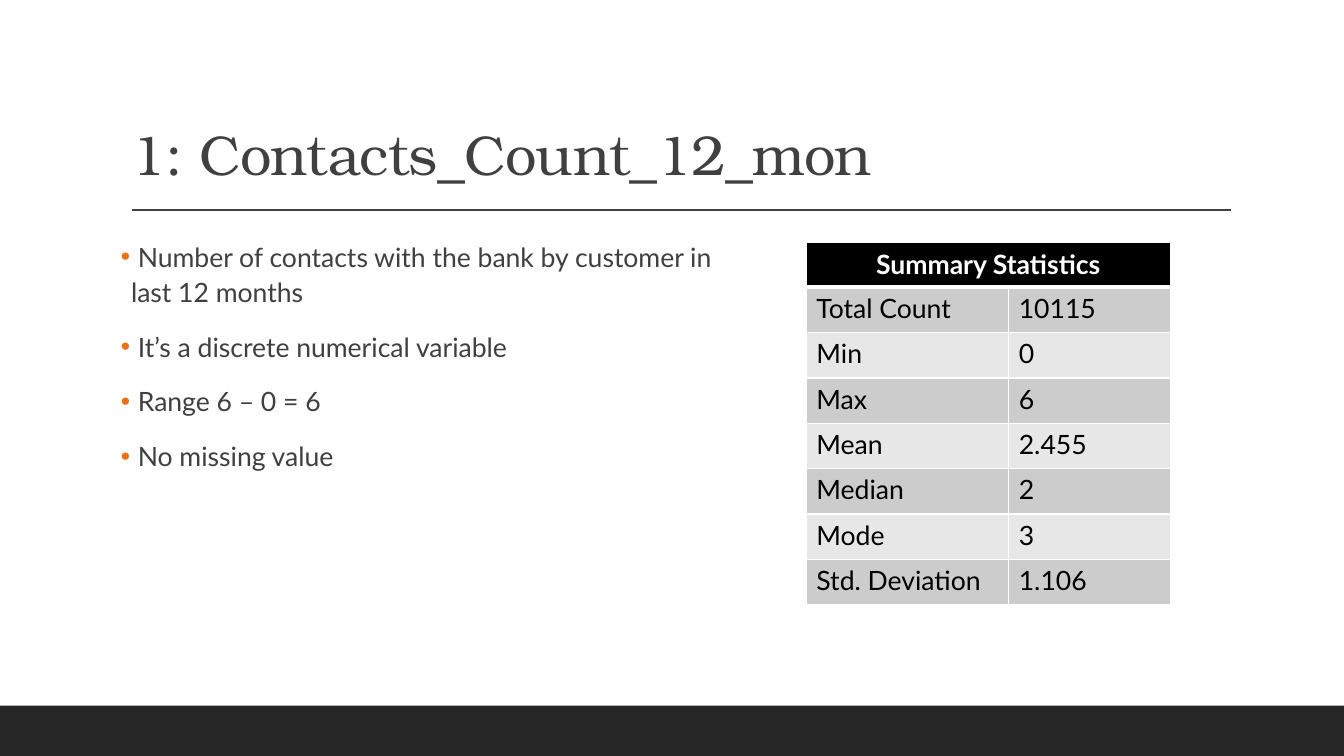
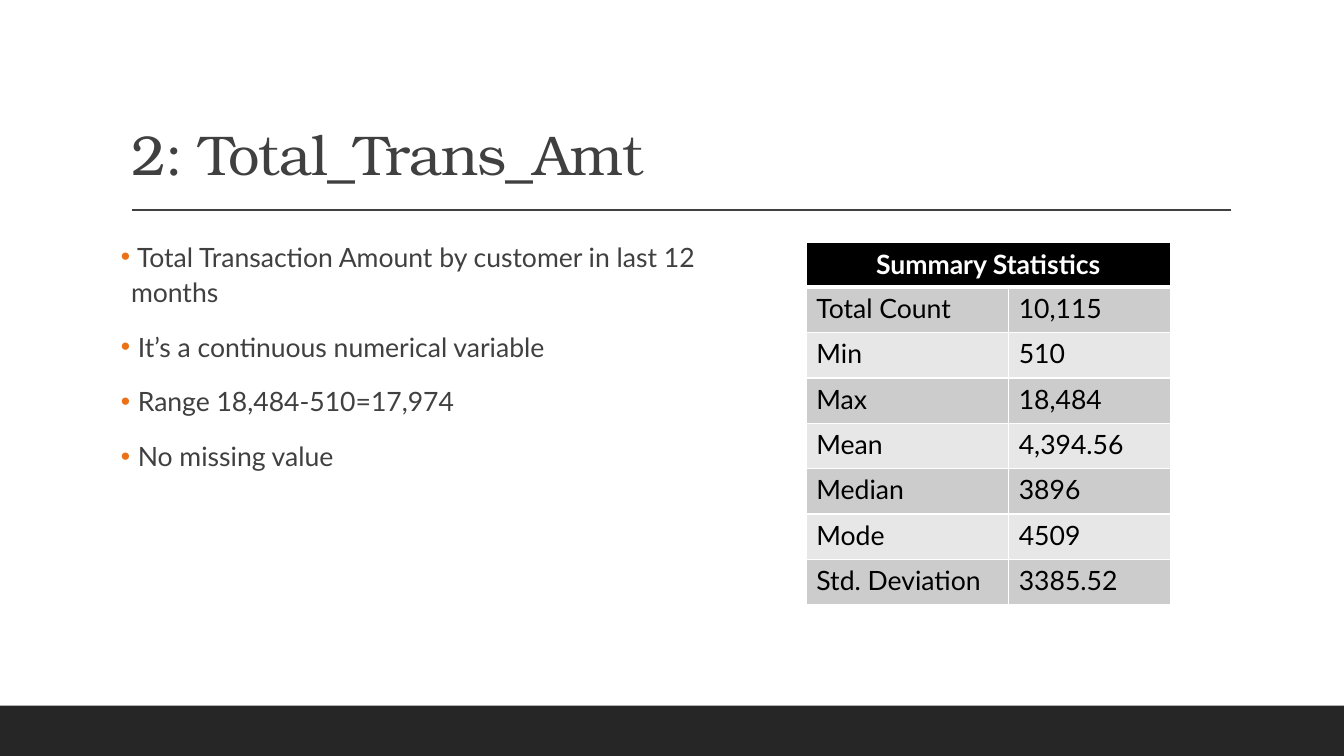
from dataclasses import dataclass

from lxml import etree
from pptx import Presentation
from pptx import util as u
from pptx.dml.color import RGBColor
from pptx.enum import shapes, text
from pptx.oxml import ns

# Shared style: 120 px to the inch
PX = 7620
SLIDE_W, SLIDE_H = 1600, 900
BAND_H = 60
RULE_LEFT, RULE_RIGHT, RULE_Y = 157, 1465, 250
TITLE_BOX = (144, 37, 1320, 191)
BODY_BOX = (144, 277, 720, 480)
TABLE_LEFT, TABLE_TOP, ROW_H = 960, 288, 54
COL_WIDTHS = (241, 192)
PAD_X, PAD_Y = 12, 6

TITLE_FONT, BODY_FONT = "TeX Gyre Bonum", "Lato"
TITLE_SIZE, BODY_SIZE = 40, 19
INK, BAND, ACCENT = "404040", "262626", "EC7016"
WHITE, BLACK = "FFFFFF", "000000"
ROW_FILLS = ("CCCCCC", "E7E7E7")

STATISTICS = ("Total Count", "Min", "Max", "Mean", "Median", "Mode", "Std. Deviation")


@dataclass(frozen=True)
class Variable:
    title: str
    points: tuple[str, ...]
    values: tuple[str, ...]


VARIABLES = (
    Variable(
        "1: Contacts_Count_12_mon",
        ("Number of contacts with the bank by customer in last 12 months",
         "It’s a discrete numerical variable",
         "Range 6 – 0 = 6",
         "No missing value"),
        ("10115", "0", "6", "2.455", "2", "3", "1.106"),
    ),
    Variable(
        "2: Total_Trans_Amt",
        ("Total Transaction Amount by customer in last 12 months",
         "It’s a continuous numerical variable",
         "Range 18,484-510=17,974",
         "No missing value"),
        ("10,115", "510", "18,484", "4,394.56", "3896", "4509", "3385.52"),
    ),
)


# Helpers
def px(length: int) -> u.Emu:
    return u.Emu(length * PX)


def rgb(value: str) -> RGBColor:
    return RGBColor.from_string(value)


def sub(parent, tag: str, **attributes: str):
    return etree.SubElement(parent, ns.qn(tag), attributes)


def style(p, name: str, size: int, color: str, bold: bool = False) -> None:
    p.font.name = name
    p.font.size = u.Pt(size)
    p.font.bold = bold
    p.font.color.rgb = rgb(color)


def place(sp, box: tuple[int, int, int, int]) -> None:
    sp.left, sp.top, sp.width, sp.height = map(px, box)


def set_margins(target, x: int, y: int) -> None:
    target.margin_left = target.margin_right = px(x)
    target.margin_top = target.margin_bottom = px(y)


# Band and rule, shared through the layout
def decorate_layout(layout, s) -> None:
    band = s.shapes.add_shape(shapes.MSO_SHAPE.RECTANGLE, 0, px(SLIDE_H - BAND_H),
                              px(SLIDE_W), px(BAND_H))
    band.shadow.inherit = False
    band.fill.solid()
    band.fill.fore_color.rgb = rgb(BAND)
    band.line.fill.background()
    rule = s.shapes.add_connector(shapes.MSO_CONNECTOR.STRAIGHT, px(RULE_LEFT),
                                  px(RULE_Y), px(RULE_RIGHT), px(RULE_Y))
    rule.line.color.rgb = rgb(INK)
    rule.line.width = u.Pt(1)
    sub(rule.element.spPr, "a:effectLst")
    for sp in (band, rule):
        layout.shapes.element.append(sp.element)


# Title and list
def fill_title(sp, title: str) -> None:
    place(sp, TITLE_BOX)
    tf = sp.text_frame
    tf.text = title
    tf.auto_size = text.MSO_AUTO_SIZE.NONE
    tf.vertical_anchor = text.MSO_ANCHOR.BOTTOM
    set_margins(tf, PAD_X, PAD_Y)
    p = tf.paragraphs[0]
    p.alignment = text.PP_ALIGN.LEFT
    p.line_spacing = 1.5
    style(p, TITLE_FONT, TITLE_SIZE, INK)
    p.runs[0].font.size = u.Pt(TITLE_SIZE)
    p.runs[0]._r.get_or_add_rPr().set("spc", "-50")


def fill_list(sp, points: tuple[str, ...]) -> None:
    place(sp, BODY_BOX)
    tf = sp.text_frame
    tf.auto_size = text.MSO_AUTO_SIZE.NONE
    set_margins(tf, 0, PAD_Y)
    for i, point in enumerate(points):
        p = tf.add_paragraph() if i else tf.paragraphs[0]
        p.text = f" {point}"
        pPr = p._p.get_or_add_pPr()
        pPr.set("marL", str(px(PAD_X)))
        pPr.set("indent", str(-px(PAD_X)))
        sub(sub(pPr, "a:buClr"), "a:srgbClr", val=ACCENT)
        sub(pPr, "a:buChar", char="•")
        p.line_spacing = 1.1
        p.space_before = u.Pt(12 if i else 0)
        p.space_after = u.Pt(2)
        style(p, BODY_FONT, BODY_SIZE, INK)


# Statistics table
def format_cell(cell, fill: str, color: str, header: bool) -> None:
    tcPr = cell._tc.get_or_add_tcPr()
    for side in "LRTB":
        width = u.Pt(3 if header and side == "B" else 1)
        ln = sub(tcPr, f"a:ln{side}", w=str(width))
        sub(sub(ln, "a:solidFill"), "a:srgbClr", val=WHITE)
    cell.fill.solid()
    cell.fill.fore_color.rgb = rgb(fill)
    set_margins(cell, PAD_X, PAD_Y)
    p = cell.text_frame.paragraphs[0]
    style(p, BODY_FONT, BODY_SIZE, color, header)
    if header:
        cell.vertical_anchor = text.MSO_ANCHOR.MIDDLE
        p.alignment = text.PP_ALIGN.CENTER


def add_statistics(s, values: tuple[str, ...]) -> None:
    rows = [("Summary Statistics", ""), *zip(STATISTICS, values)]
    table = s.shapes.add_table(len(rows), len(COL_WIDTHS), px(TABLE_LEFT), px(TABLE_TOP),
                               px(sum(COL_WIDTHS)), px(ROW_H * len(rows))).table
    for column, width in zip(table.columns, COL_WIDTHS):
        column.width = px(width)
    for i, row in enumerate(rows):
        header = i == 0
        fill = BLACK if header else ROW_FILLS[(i - 1) % 2]
        for j, value in enumerate(row):
            cell = table.cell(i, j)
            cell.text = value
            format_cell(cell, fill, WHITE if header else BLACK, header)
    table.cell(0, 0).merge(table.cell(0, 1))


def main() -> None:
    prs = Presentation()
    prs.slide_width, prs.slide_height = px(SLIDE_W), px(SLIDE_H)
    layout = prs.slide_layouts[1]
    for i, variable in enumerate(VARIABLES):
        s = prs.slides.add_slide(layout)
        if i == 0:
            decorate_layout(layout, s)
        fill_title(s.shapes.title, variable.title)
        fill_list(s.placeholders[1], variable.points)
        add_statistics(s, variable.values)
    prs.save("out.pptx")


if __name__ == "__main__":
    main()
